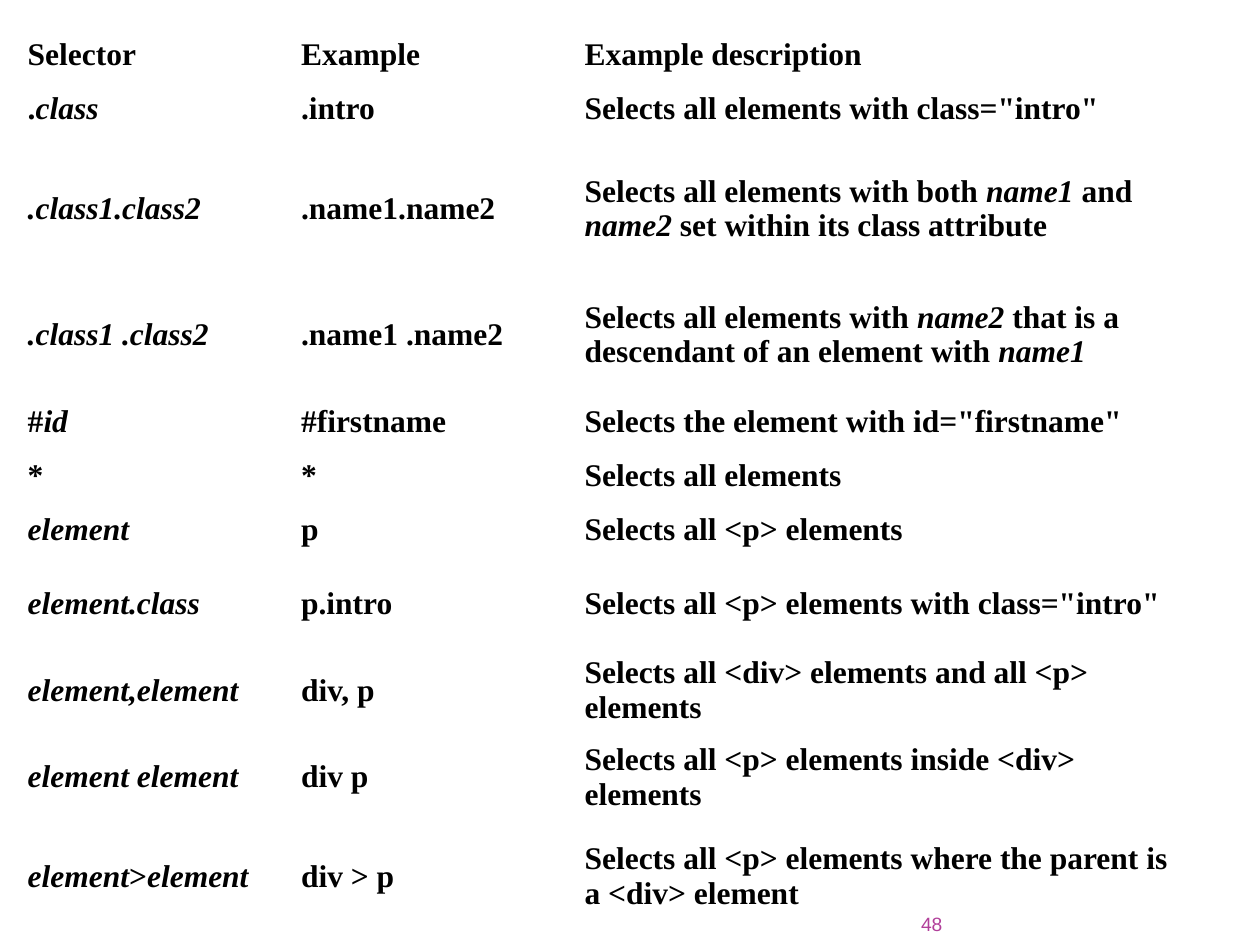
import pptx
import pptx.dml.color
import pptx.enum.text
import pptx.util
from pptx.util import Inches

COLORS = {"text": "000000", "page_number": "B13F9A"}
TABLE_FONT = {"name": "Times New Roman", "size": pptx.util.Pt(18), "bold": True}
NUMBER_FONT = {"name": "Arial", "size": pptx.util.Pt(11), "bold": False}
MARGINS = ("margin_left", "margin_top", "margin_right", "margin_bottom")

COLUMN_WIDTHS = [2.17, 2.25, 4.75]
ROW_HEIGHTS = [0.35, 0.48, 1.1, 0.9, 0.48, 0.35, 0.48, 0.69, 0.69, 0.69, 0.89]

# Underscores enclose italic text
SELECTORS = [
    ("Selector", "Example", "Example description"),
    ("._class_", ".intro", 'Selects all elements with class="intro"'),
    ("_.class1.class2_", ".name1.name2",
     "Selects all elements with both _name1_ and _name2_ set within its class attribute"),
    ("_.class1 .class2_", ".name1 .name2",
     "Selects all elements with _name2_ that is a descendant of an element with _name1_"),
    ("#_id_", "#firstname", 'Selects the element with id="firstname"'),
    ("*", "*", "Selects all elements"),
    ("_element_", "p", "Selects all <p> elements"),
    ("_element.class_", "p.intro", 'Selects all <p> elements with class="intro"'),
    ("_element,element_", "div, p", "Selects all <div> elements and all <p> elements"),
    ("_element element_", "div p", "Selects all <p> elements inside <div> elements"),
    ("_element_>_element_", "div > p",
     "Selects all <p> elements where the parent is a <div> element"),
]


def write_text(paragraph, marked_text, font_format, color):
    for index, part in enumerate(marked_text.split("_")):
        if not part:
            continue
        run = paragraph.add_run()
        run.text = part
        for attribute, value in font_format.items():
            setattr(run.font, attribute, value)
        run.font.italic = index % 2 == 1
        run.font.color.rgb = pptx.dml.color.RGBColor.from_string(COLORS[color])


def set_margins(holder, margin):
    for side in MARGINS:
        setattr(holder, side, margin)


def add_selector_table(slide, left, top, width, height):
    table = slide.shapes.add_table(
        len(SELECTORS), len(COLUMN_WIDTHS), left, top, width, height).table
    table.first_row = table.horz_banding = False
    for column, column_width in zip(table.columns, COLUMN_WIDTHS):
        column.width = Inches(column_width)
    for row, row_height, entries in zip(table.rows, ROW_HEIGHTS, SELECTORS):
        row.height = Inches(row_height)
        for cell, entry in zip(row.cells, entries):
            cell.fill.background()
            cell.vertical_anchor = pptx.enum.text.MSO_ANCHOR.MIDDLE
            set_margins(cell, Inches(0.05))
            write_text(cell.text_frame.paragraphs[0], entry, TABLE_FONT, "text")


def add_page_number(slide, left, top, width, height):
    frame = slide.shapes.add_textbox(left, top, width, height).text_frame
    frame.word_wrap = True
    frame.vertical_anchor = pptx.enum.text.MSO_ANCHOR.BOTTOM
    set_margins(frame, 0)
    paragraph = frame.paragraphs[0]
    paragraph.alignment = pptx.enum.text.PP_ALIGN.RIGHT
    write_text(paragraph, "48", NUMBER_FONT, "page_number")


def main():
    presentation = pptx.Presentation()
    presentation.slide_width = Inches(10)
    presentation.slide_height = Inches(7.5)
    slide = presentation.slides.add_slide(presentation.slide_layouts[6])

    # CSS selector overview
    add_selector_table(slide, Inches(0.17), Inches(0.25),
                       Inches(sum(COLUMN_WIDTHS)), Inches(sum(ROW_HEIGHTS)))
    # Page number
    add_page_number(slide, Inches(6.8), Inches(7.17), Inches(0.68), Inches(0.25))

    presentation.save("out.pptx")


if __name__ == "__main__":
    main()
